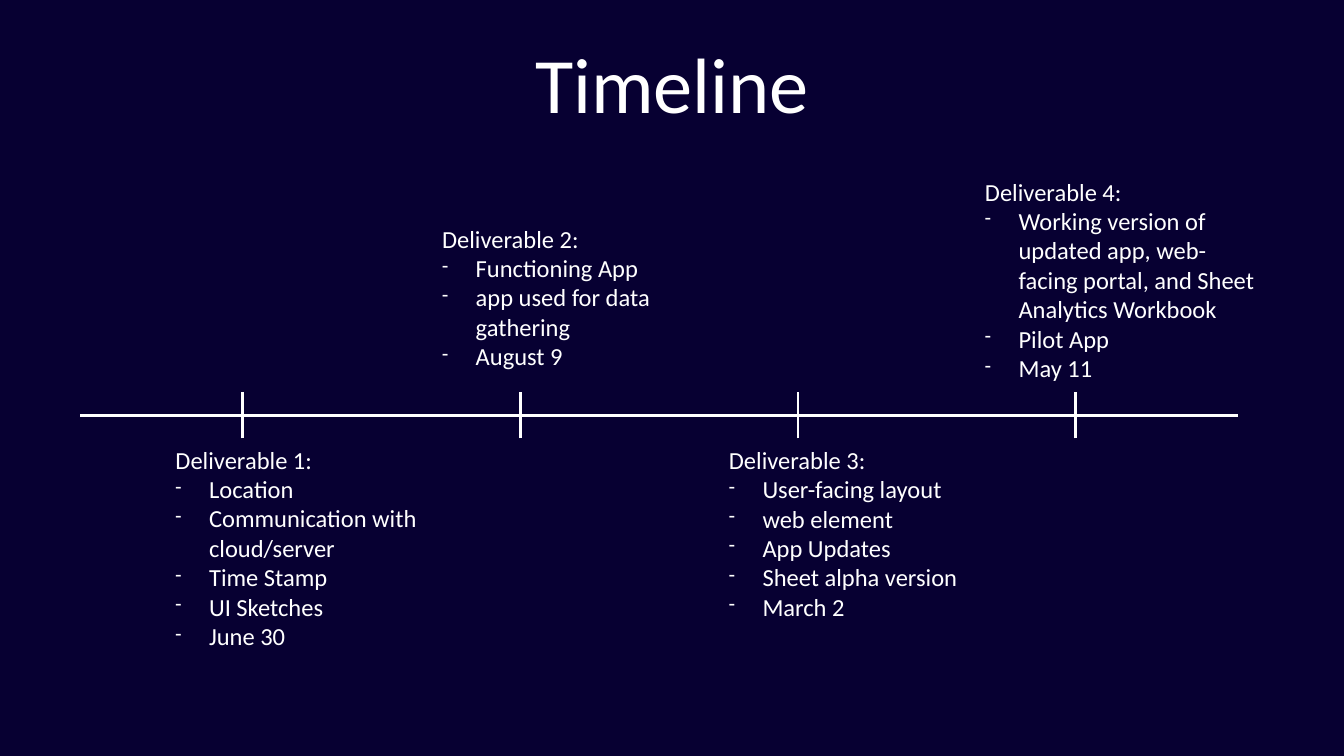
import pptx
import pptx.dml.color
import pptx.enum.shapes
import pptx.enum.text
import pptx.oxml
import pptx.oxml.ns
import pptx.util

Pt = pptx.util.Pt
PP = pptx.enum.text.PP_ALIGN

# Content: left, top, number of text lines, heading, items
TITLE = "Timeline"
DELIVERABLES = [
    (246.2, 631.4, 7, "Deliverable 1:",
     ["Location", "Communication with cloud/server", "Time Stamp", "UI Sketches", "June 30"]),
    (627.1, 315.4, 5, "Deliverable 2:",
     ["Functioning App", "app used for data gathering", "August 9"]),
    (1036.8, 631.4, 6, "Deliverable 3:",
     ["User-facing layout", "web element", "App Updates", "Sheet alpha version", "March 2"]),
    (1402.6, 248.4, 7, "Deliverable 4:",
     ["Working version of updated app, web-facing portal, and Sheet Analytics Workbook",
      "Pilot App", "May 11"]),
]

THEME = {
    "background": pptx.dml.color.RGBColor.from_string("070032"),
    "ink": pptx.dml.color.RGBColor.from_string("FFFFFF"),
    "font": "Calibri", "title": 112, "body": 35, "line": 4,
}

# Layout in points
AXIS_LEFT, AXIS_RIGHT, AXIS_Y = 114.5, 1768.3, 593.3
FIRST_TICK, TICK_GAP, TICK_HALF = 346.3, 396.9, 33.1
BOX_WIDTH, LINE_HEIGHT, INSET, INDENT = 402.5, 41.8, 4.5, 48


def set_frame(frame):
    frame.word_wrap = True
    frame.vertical_anchor = pptx.enum.text.MSO_ANCHOR.MIDDLE
    frame.margin_left = frame.margin_right = Pt(INSET)
    frame.margin_top = frame.margin_bottom = Pt(INSET)


def write(para, text, size, align=PP.LEFT, bullet=None):
    para.alignment = align
    span = para.add_run()
    span.text = text
    span.font.name = THEME["font"]
    span.font.size = Pt(size)
    span.font.color.rgb = THEME["ink"]
    if bullet:
        props = para._p.get_or_add_pPr()
        props.set("marL", str(Pt(INDENT)))
        props.set("indent", str(-Pt(INDENT)))
        for tag, name, value in (("a:buSzPct", "val", "75000"), ("a:buChar", "char", bullet)):
            mark = pptx.oxml.xmlchemy.OxmlElement(tag)
            mark.set(name, value)
            props.append(mark)


def add_line(page, x1, y1, x2, y2):
    line = page.shapes.add_connector(
        pptx.enum.shapes.MSO_CONNECTOR.STRAIGHT, Pt(x1), Pt(y1), Pt(x2), Pt(y2))
    line.line.color.rgb = THEME["ink"]
    line.line.width = Pt(THEME["line"])
    line._element.spPr.append(pptx.oxml.xmlchemy.OxmlElement("a:effectLst"))


def add_deliverable(page, left, top, lines, heading, items):
    height = lines * LINE_HEIGHT + 2 * INSET
    box = page.shapes.add_textbox(Pt(left), Pt(top), Pt(BOX_WIDTH), Pt(height))
    frame = box.text_frame
    set_frame(frame)
    frame.auto_size = pptx.enum.text.MSO_AUTO_SIZE.SHAPE_TO_FIT_TEXT
    write(frame.paragraphs[0], heading, THEME["body"])
    for item in items:
        write(frame.add_paragraph(), item, THEME["body"], bullet="-")


def main():
    deck = pptx.Presentation()
    deck.slide_width, deck.slide_height = Pt(1920), Pt(1080)
    page = deck.slides.add_slide(deck.slide_layouts[5])
    page.background.fill.solid()
    page.background.fill.fore_color.rgb = THEME["background"]

    # Title
    title = page.shapes.title
    title.left, title.top, title.width, title.height = Pt(133.2), Pt(28), Pt(1653.8), Pt(180)
    set_frame(title.text_frame)
    write(title.text_frame.paragraphs[0], TITLE, THEME["title"], align=PP.CENTER)

    # Axis with one tick per deliverable
    add_line(page, AXIS_LEFT, AXIS_Y, AXIS_RIGHT, AXIS_Y)
    for index in range(len(DELIVERABLES)):
        x = FIRST_TICK + index * TICK_GAP
        add_line(page, x, AXIS_Y + TICK_HALF, x, AXIS_Y - TICK_HALF)

    # Deliverables
    for deliverable in DELIVERABLES:
        add_deliverable(page, *deliverable)

    deck.save("out.pptx")


if __name__ == "__main__":
    main()
